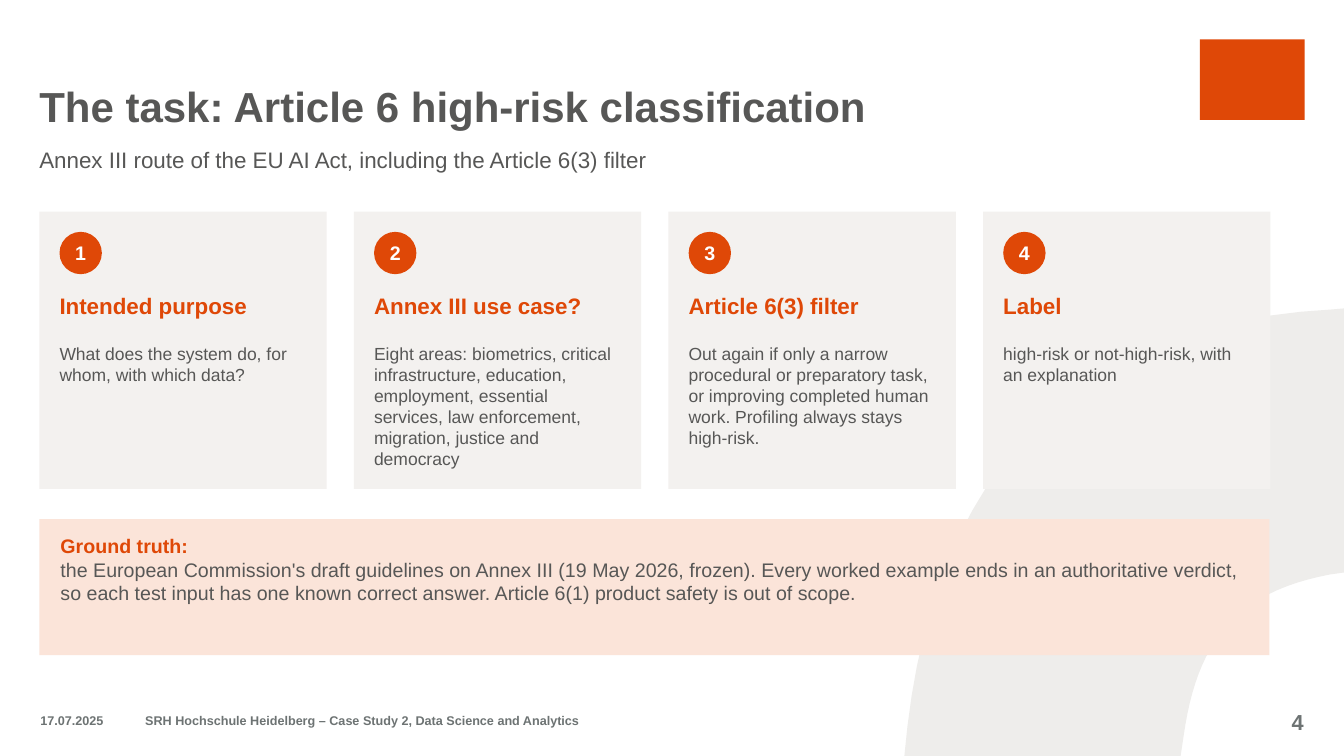
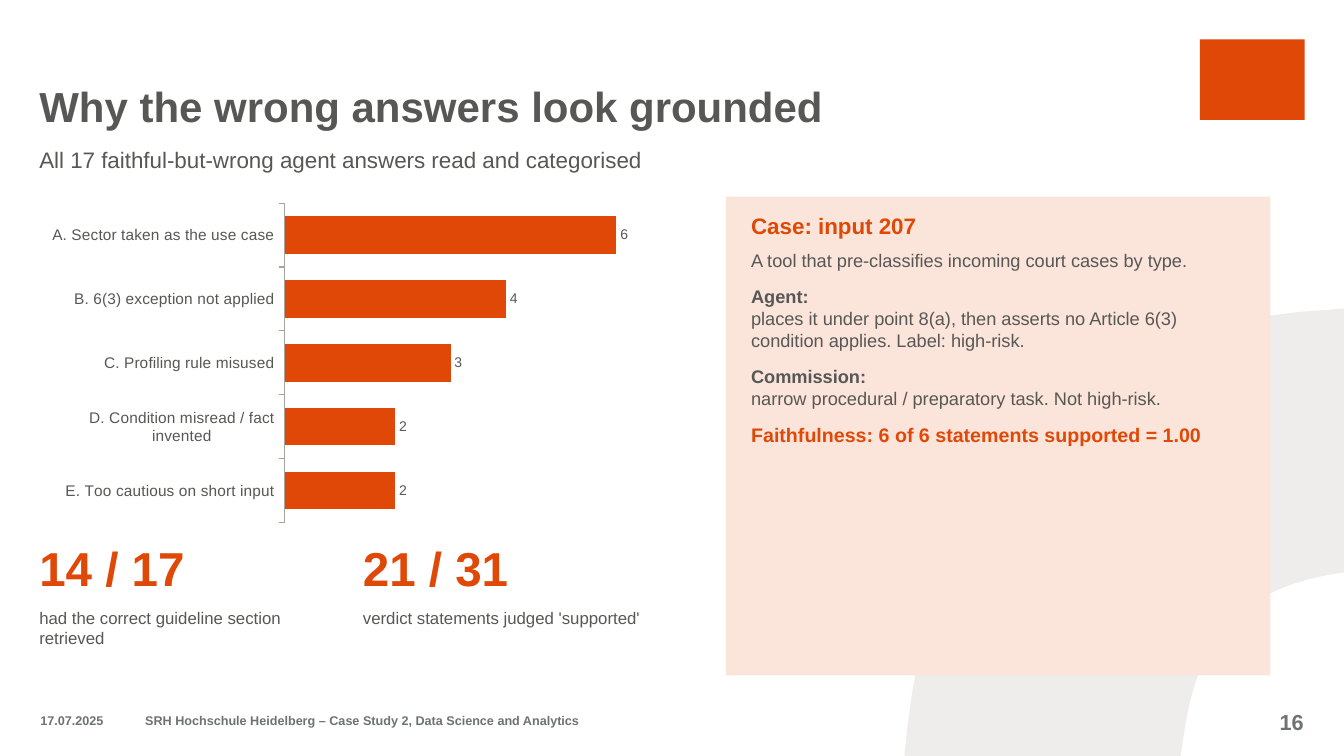
from pptx import Presentation
from pptx.chart.data import CategoryChartData
from pptx.dml.color import RGBColor
from pptx.enum import chart as ch, shapes as sh, text as tx
from pptx.util import Inches, Pt

# Shared style
FONT = "Arial"
ORANGE, PEACH = "DF4807", "FBE4D9"
GREY, FOOTER_GREY = "575756", "6D7373"
CARD_GREY, ARC_GREY, AXIS_GREY = "F3F1EF", "EEEDEB", "AAA39D"
LEFT = 0.39
RIGHT_ALIGN, CENTER = tx.PP_ALIGN.RIGHT, tx.PP_ALIGN.CENTER
TOP, MIDDLE, BOTTOM = tx.MSO_ANCHOR.TOP, tx.MSO_ANCHOR.MIDDLE, tx.MSO_ANCHOR.BOTTOM


def color(hex_code):
    return RGBColor.from_string(hex_code)


def style_font(font, size, hex_code, bold=False):
    font.name, font.size, font.bold = FONT, Pt(size), bold
    font.color.rgb = color(hex_code)


def prepare(frame, anchor=TOP):
    frame.word_wrap = True
    frame.auto_size = tx.MSO_AUTO_SIZE.NONE
    frame.vertical_anchor = anchor
    frame.margin_left = frame.margin_right = 0
    frame.margin_top = frame.margin_bottom = 0


def write(frame, text, size=12, fill=GREY, bold=False,
          align=tx.PP_ALIGN.LEFT, after=0):
    """Add one formatted paragraph, using the empty first one if there is one."""
    para = frame.paragraphs[0] if not frame.text else frame.add_paragraph()
    para.alignment = align
    para.space_before, para.space_after = Pt(0), Pt(after)
    span = para.add_run()
    span.text = text
    style_font(span.font, size, fill, bold)


def add_text_box(page, left, top, width, height, anchor=TOP):
    box = page.shapes.add_textbox(
        Inches(left), Inches(top), Inches(width), Inches(height))
    prepare(box.text_frame, anchor)
    return box.text_frame


def add_label(page, left, top, width, height, text, anchor=TOP, **style):
    write(add_text_box(page, left, top, width, height, anchor), text, **style)


def paint(shape, fill):
    shape.shadow.inherit = False
    shape.fill.solid()
    shape.fill.fore_color.rgb = color(fill)
    shape.line.fill.background()


def add_block(page, left, top, width, height, fill,
              kind=sh.MSO_SHAPE.RECTANGLE):
    block = page.shapes.add_shape(
        kind, Inches(left), Inches(top), Inches(width), Inches(height))
    paint(block, fill)
    return block


# Background arc
def curve(start, control_1, control_2, end, steps=24):
    """Points along a cubic curve, without its start."""
    points = []
    for step in range(1, steps + 1):
        t = step / steps
        weights = ((1 - t) ** 3, 3 * t * (1 - t) ** 2, 3 * t * t * (1 - t), t ** 3)
        points.append(tuple(
            sum(w * v for w, v in zip(weights, values))
            for values in zip(start, control_1, control_2, end)))
    return points


def add_arc(page):
    points = [(13.33, 5.68), (13.19, 5.7)]
    points += curve((13.19, 5.7), (12.24, 5.88), (11.87, 6.38), (11.74, 7.3))
    points += [(11.71, 7.5), (8.97, 7.5), (9, 7.21)]
    points += curve((9, 7.21), (9.29, 4.73), (10.62, 3.2), (13.22, 3.07))
    builder = page.shapes.build_freeform(Inches(13.33), Inches(3.06))
    builder.add_line_segments([(Inches(x), Inches(y)) for x, y in points])
    arc = builder.convert_to_shape()
    paint(arc, ARC_GREY)
    return arc


def decorate_layout(layout, page):
    """Draw the arc and the mark on a page, then move them to its layout."""
    for shape in (add_arc(page), add_block(page, 11.9, 0.39, 1.04, 0.8, ORANGE)):
        layout.shapes.element.append(shape.element)


def fill_page(page, title, subtitle, number):
    heading = page.shapes.title
    heading.left, heading.top = Inches(LEFT), Inches(0.39)
    heading.width, heading.height = Inches(10.01), Inches(0.91)
    prepare(heading.text_frame, BOTTOM)
    write(heading.text_frame, title, size=30, bold=True)
    add_label(page, LEFT, 1.45, 12.2, 0.4, subtitle, size=16)

    footer = dict(anchor=MIDDLE, fill=FOOTER_GREY, bold=True)
    add_label(page, 0.4, 6.95, 0.96, 0.4, "17.07.2025", size=9, **footer)
    add_label(page, 1.44, 6.95, 7.1, 0.4,
              "SRH Hochschule Heidelberg – Case Study 2, Data Science and Analytics",
              size=9, **footer)
    add_label(page, 12.19, 6.96, 0.74, 0.4, str(number), size=15.5,
              align=RIGHT_ALIGN, **footer)


# Slide elements
def add_card(page, index, heading, body):
    width, gap, pad = 2.85, 0.27, 0.2
    left = LEFT + index * (width + gap)
    inner_left, inner_width = left + pad, width - 2 * pad
    add_block(page, left, 2.1, width, 2.75, CARD_GREY)
    badge = add_block(page, inner_left, 2.3, 0.42, 0.42, ORANGE,
                      sh.MSO_SHAPE.OVAL)
    prepare(badge.text_frame, MIDDLE)
    write(badge.text_frame, str(index + 1), size=14, fill="FFFFFF", bold=True,
          align=CENTER)
    add_label(page, inner_left, 2.9, inner_width, 0.45, heading,
              size=16, fill=ORANGE, bold=True)
    add_label(page, inner_left, 3.4, inner_width, 1.4, body, size=12.5)


def add_figure(page, left, width, figure, caption):
    add_label(page, left, 5.35, width, 0.65, figure,
              size=34, fill=ORANGE, bold=True)
    add_label(page, left, 6.03, width, 0.75, caption, size=12)


def add_bar_chart(page, counts):
    data = CategoryChartData(number_format="0")
    data.categories = list(counts)
    data.add_series("Series 1", list(counts.values()))
    chart = page.shapes.add_chart(
        ch.XL_CHART_TYPE.BAR_CLUSTERED, Inches(LEFT), Inches(1.95),
        Inches(6.4), Inches(3.3), data).chart
    chart.has_title = chart.has_legend = False
    style_font(chart.font, 11, GREY)

    causes = chart.category_axis
    causes.reverse_order = True
    causes.has_major_gridlines = False
    causes.major_tick_mark = ch.XL_TICK_MARK.OUTSIDE
    causes.format.line.color.rgb = color(AXIS_GREY)
    causes.format.line.width = Pt(0.75)
    style_font(causes.tick_labels.font, 11, GREY)

    scale = chart.value_axis
    scale.visible = scale.has_major_gridlines = False
    scale.minimum_scale, scale.maximum_scale = 0, 7

    plot = chart.plots[0]
    plot.gap_width = 70
    plot.vary_by_categories = False
    bars = plot.series[0]
    bars.format.fill.solid()
    bars.format.fill.fore_color.rgb = color(ORANGE)
    labels = bars.data_labels
    labels.show_value = True
    labels.position = ch.XL_LABEL_POSITION.OUTSIDE_END
    labels.number_format, labels.number_format_is_linked = "0", False
    style_font(labels.font, 10, GREY)


# Slides
def build_task(page):
    fill_page(page, "The task: Article 6 high-risk classification",
              "Annex III route of the EU AI Act, including the Article 6(3) filter", 4)
    steps = [
        ("Intended purpose", "What does the system do, for whom, with which data?"),
        ("Annex III use case?",
         "Eight areas: biometrics, critical infrastructure, education, employment, "
         "essential services, law enforcement, migration, justice and democracy"),
        ("Article 6(3) filter",
         "Out again if only a narrow procedural or preparatory task, or improving "
         "completed human work. Profiling always stays high-risk."),
        ("Label", "high-risk or not-high-risk, with an explanation"),
    ]
    for index, (heading, body) in enumerate(steps):
        add_card(page, index, heading, body)

    add_block(page, LEFT, 5.15, 12.2, 1.35, PEACH)
    truth = add_text_box(page, 0.6, 5.3, 11.8, 1.1)
    write(truth, "Ground truth:", size=14, fill=ORANGE, bold=True)
    write(truth,
          "the European Commission's draft guidelines on Annex III (19 May 2026, "
          "frozen). Every worked example ends in an authoritative verdict, so each "
          "test input has one known correct answer. Article 6(1) product safety is "
          "out of scope.", size=14)


def build_errors(page):
    fill_page(page, "Why the wrong answers look grounded",
              "All 17 faithful-but-wrong agent answers read and categorised", 16)
    add_bar_chart(page, {
        "A. Sector taken as the use case": 6,
        "B. 6(3) exception not applied": 4,
        "C. Profiling rule misused": 3,
        "D. Condition misread / fact invented": 2,
        "E. Too cautious on short input": 2,
    })
    add_figure(page, LEFT, 3, "14 / 17",
               "had the correct guideline section retrieved")
    add_figure(page, 3.6, 3.2, "21 / 31", "verdict statements judged 'supported'")

    add_block(page, 7.2, 1.95, 5.4, 4.75, PEACH)
    case = add_text_box(page, 7.45, 2.1, 4.9, 4.5)
    write(case, "Case: input 207", size=16, fill=ORANGE, bold=True, after=8)
    write(case, "A tool that pre-classifies incoming court cases by type.",
          size=13, after=10)
    views = [
        ("Agent:", "places it under point 8(a), then asserts no Article 6(3) "
                   "condition applies. Label: high-risk."),
        ("Commission:", "narrow procedural / preparatory task. Not high-risk."),
    ]
    for speaker, view in views:
        write(case, speaker, size=13, bold=True)
        write(case, view, size=13, after=10)
    write(case, "Faithfulness: 6 of 6 statements supported = 1.00",
          size=14, fill=ORANGE, bold=True)


def main():
    deck = Presentation()
    deck.slide_width, deck.slide_height = Inches(13.33), Inches(7.5)
    layout = deck.slide_layouts.get_by_name("Title Only")
    task, errors = (deck.slides.add_slide(layout) for _ in range(2))
    decorate_layout(layout, task)
    build_task(task)
    build_errors(errors)
    deck.save("out.pptx")


if __name__ == "__main__":
    main()
